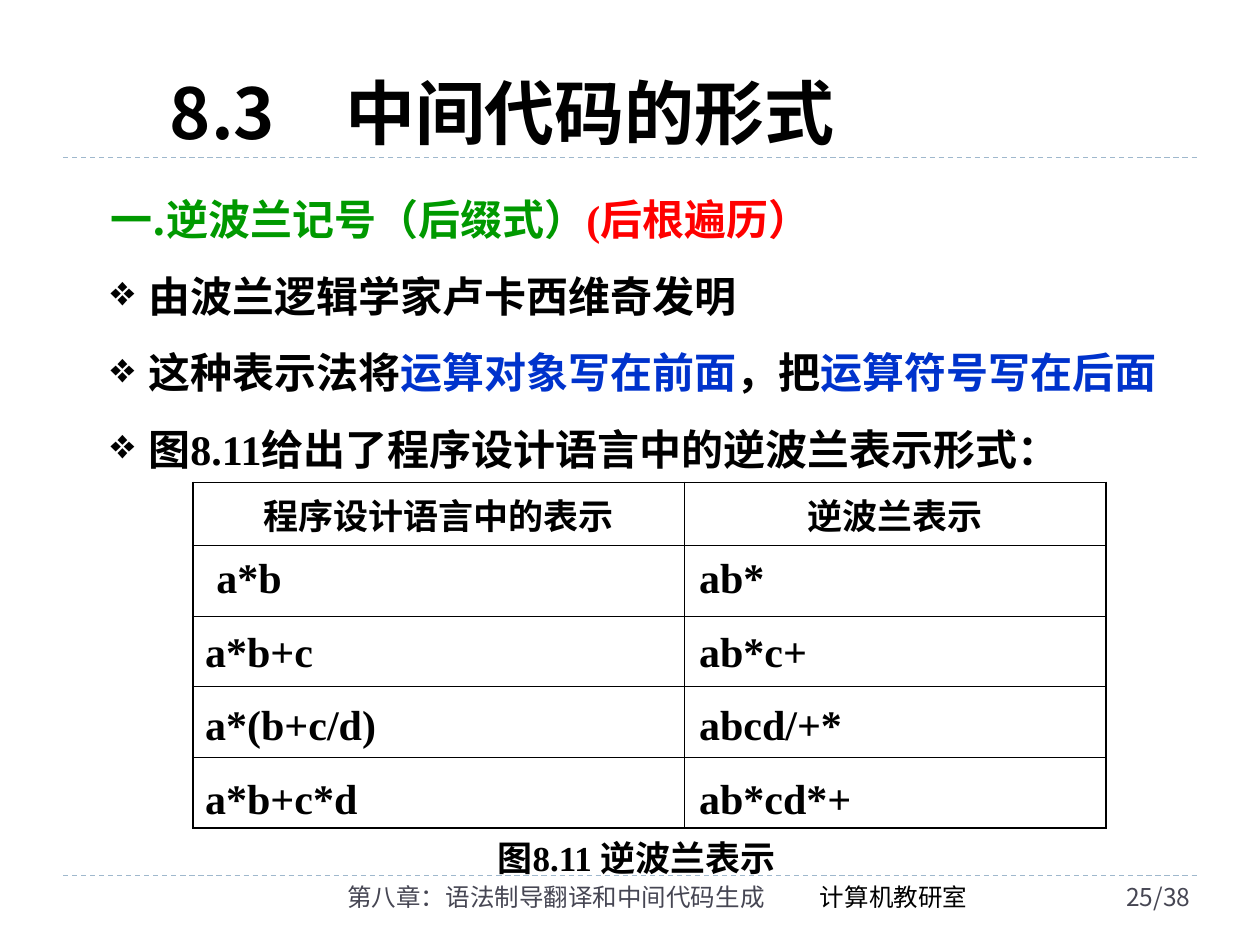
"""Build the slide on reverse Polish notation as an intermediate code form."""
from dataclasses import dataclass
from typing import Optional, Sequence

from lxml.etree import SubElement
from pptx import Presentation
from pptx.dml.color import RGBColor as Rgb
from pptx.enum.dml import MSO_LINE_DASH_STYLE as Dash
from pptx.enum.shapes import MSO_CONNECTOR as Connector
from pptx.enum.text import PP_ALIGN as Align
from pptx.oxml.ns import qn
from pptx.util import Inches, Pt


@dataclass(frozen=True)
class Theme:
    black: str = "000000"
    green: str = "009900"
    red: str = "FF0000"
    blue: str = "0033CC"
    footer: str = "464653"
    rule: str = "9FB8CD"
    cjk: str = "Noto Sans CJK SC"
    footer_cjk: str = "Noto Sans CJK JP"
    serif: str = "Times New Roman"
    header: str = "DejaVu Sans"
    title_size: float = 40
    body_size: float = 24
    table_size: float = 20
    footer_size: float = 14
    thin: float = 0.45
    thick: float = 1.08


THEME = Theme()


@dataclass(frozen=True)
class Span:
    text: str
    color: str = THEME.black
    font: str = THEME.serif


@dataclass(frozen=True)
class Line:
    spans: Sequence[Span]
    bullet: bool = False


@dataclass(frozen=True)
class Box:
    left: float
    top: float
    width: float
    height: float

    def emu(self) -> tuple:
        return tuple(Inches(v) for v in (self.left, self.top, self.width, self.height))


FOOTERS = [
    (Box(2.34, 6.93, 3.83, 0.4), "第八章：语法制导翻译和中间代码生成", THEME.footer, Align.RIGHT),
    (Box(8.84, 6.93, 1.08, 0.4), "25/38", THEME.footer, None),
    (Box(6.41, 6.93, 1.66, 0.34), "计算机教研室", THEME.black, None),
]
BODY = [
    Line([Span("一.逆波兰记号（后缀式）", THEME.green, THEME.cjk), Span("(后根遍历）", THEME.red)]),
    Line([Span("由波兰逻辑学家卢卡西维奇发明")], bullet=True),
    Line([Span("这种表示法将"), Span("运算对象写在前面", THEME.blue),
          Span("，把"), Span("运算符号写在后面", THEME.blue)], bullet=True),
    Line([Span("图8.11给出了程序设计语言中的逆波兰表示形式：")], bullet=True),
]
HEADINGS = ["程序设计语言中的表示", "逆波兰表示"]
FORMULAS = [("a*b", "ab*"), ("a*b+c", "ab*c+"), ("a*(b+c/d)", "abcd/+*"), ("a*b+c*d", "ab*cd*+")]
COLUMN_WIDTHS = [3.9, 3.35]
ROW_HEIGHTS = [0.5] + [0.56] * len(FORMULAS)


def write(frame, lines: Sequence[Line], *, size: float, bold: bool = True,
          align: Optional[Align] = None, before: float = 0, ea: str = THEME.cjk,
          leading: Optional[float] = None) -> None:
    """Fill a text frame with formatted lines."""
    for index, line in enumerate(lines):
        paragraph = frame.paragraphs[0] if index == 0 else frame.add_paragraph()
        paragraph.space_before = Pt(before)
        if align is not None:
            paragraph.alignment = align
        if leading:
            paragraph.line_spacing = Pt(size * leading)
        if line.bullet:
            add_bullet(paragraph)
        for span in line.spans:
            run = paragraph.add_run()
            run.text = span.text
            run.font.size, run.font.bold = Pt(size), bold
            run.font.color.rgb = Rgb.from_string(span.color)
            run.font.name = span.font
            SubElement(run.font._element, qn("a:ea"), typeface=ea)


def add_bullet(paragraph) -> None:
    """Give a paragraph a black diamond bullet with a hanging indent."""
    properties = paragraph._p.get_or_add_pPr()
    properties.set("marL", str(Inches(0.3)))
    properties.set("indent", str(-Inches(0.3)))
    color = SubElement(properties, qn("a:buClr"))
    SubElement(color, qn("a:srgbClr"), val=THEME.black)
    SubElement(properties, qn("a:buChar"), char="❖")


def add_text(slide, box: Box, lines: Sequence[Line], *, size: float, cjk: bool = True,
             wrap: bool = True, **style) -> None:
    """Add a text box, with tight leading for Chinese text."""
    frame = slide.shapes.add_textbox(*box.emu()).text_frame
    frame.word_wrap = wrap
    if cjk:
        frame.margin_top = Inches(0.05 + 0.11 * size / 72)
        style["leading"] = 1.2
    write(frame, lines, size=size, **style)


def add_rule(slide, y: float) -> None:
    """Draw a dashed rule across the slide."""
    rule = slide.shapes.add_connector(
        Connector.STRAIGHT, Inches(0.5), Inches(y), Inches(9.5), Inches(y))
    rule.line.color.rgb = Rgb.from_string(THEME.rule)
    rule.line.width = Pt(0.75)
    rule.line.dash_style = Dash.DASH
    SubElement(rule._element.spPr, qn("a:effectLst"))


def set_borders(cell, widths: dict[str, float]) -> None:
    """Draw the cell borders ahead of the cell fill."""
    properties = cell._tc.get_or_add_tcPr()
    for side, width in widths.items():
        border = SubElement(properties, qn(f"a:ln{side}"), w=str(Pt(width)))
        fill = SubElement(border, qn("a:solidFill"))
        SubElement(fill, qn("a:srgbClr"), val=THEME.black)
    cell.fill.background()


def add_grid(slide, box: Box) -> None:
    """Add the table with its headings and a thick outer frame."""
    rows, columns = len(ROW_HEIGHTS), len(COLUMN_WIDTHS)
    table = slide.shapes.add_table(rows, columns, *box.emu()).table
    table.first_row = table.horz_banding = False
    for column, width in zip(table.columns, COLUMN_WIDTHS):
        column.width = Inches(width)
    for r, height in enumerate(ROW_HEIGHTS):
        table.rows[r].height = Inches(height)
        for c in range(columns):
            outer = {"L": c == 0, "R": c == columns - 1, "T": r == 0, "B": r == rows - 1}
            set_borders(table.cell(r, c), {
                side: THEME.thick if edge else THEME.thin for side, edge in outer.items()})
    for c, heading in enumerate(HEADINGS):
        write(table.cell(0, c).text_frame, [Line([Span(heading, font=THEME.header)])],
              size=THEME.table_size, align=Align.CENTER, before=5)


def main() -> None:
    """Compose the slide and save it."""
    deck = Presentation()
    deck.slide_width, deck.slide_height = Inches(10), Inches(7.5)
    slide = deck.slides.add_slide(deck.slide_layouts[6])

    for y in (1.25, 6.95):
        add_rule(slide, y)
    for box, text, color, align in FOOTERS:
        add_text(slide, box, [Line([Span(text, color, THEME.footer_cjk)])],
                 size=THEME.footer_size, bold=False, align=align, ea=THEME.footer_cjk)
    add_text(slide, Box(1.25, 0.44, 5.72, 0.77),
             [Line([Span("8.3\u3000中间代码的形式".replace("\u3000", "　"), font=THEME.cjk)])],
             size=THEME.title_size, before=25)
    add_text(slide, Box(0.78, 1.45, 8.9, 2.33), BODY, size=THEME.body_size, before=15)

    add_grid(slide, Box(1.53, 3.83, sum(COLUMN_WIDTHS), sum(ROW_HEIGHTS)))
    for r, formulas in enumerate(FORMULAS):
        for left, formula in zip((1.53 if r else 1.62, 5.45), formulas):
            add_text(slide, Box(left, 4.33 + 0.583 * r, 2.17, 0.5), [Line([Span(formula)])],
                     size=THEME.body_size, cjk=False, before=15)
    add_text(slide, Box(3.85, 6.56, 2.56, 0.44), [Line([Span("图8.11 逆波兰表示")])],
             size=THEME.table_size, wrap=False)
    deck.save("out.pptx")


if __name__ == "__main__":
    main()
